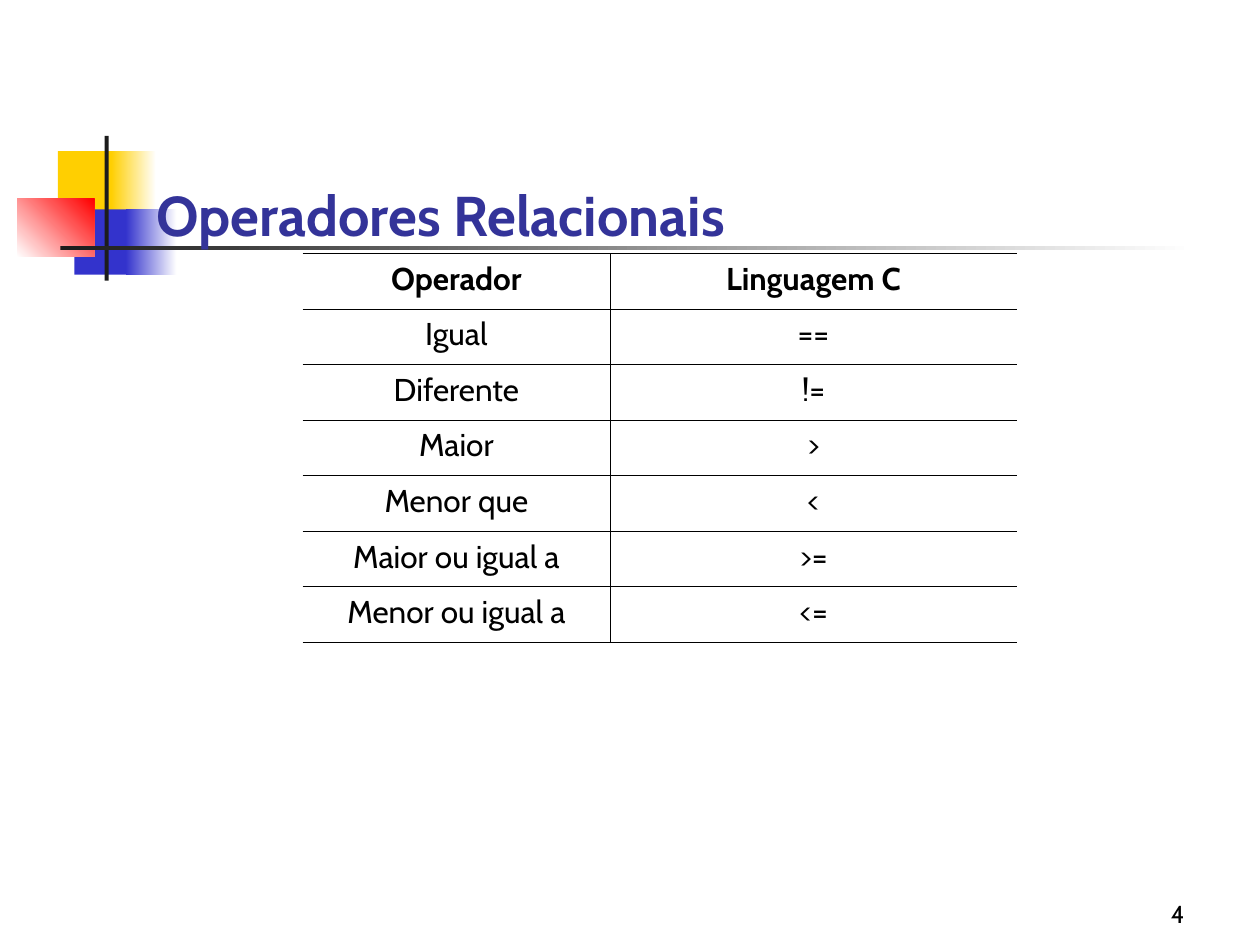
from lxml import etree
from pptx import Presentation
from pptx.dml.color import RGBColor
from pptx.enum.shapes import MSO_SHAPE
from pptx.enum.text import MSO_ANCHOR, PP_ALIGN
from pptx.oxml.ns import qn
from pptx.util import Cm, Pt

RECTANGLE = MSO_SHAPE.RECTANGLE
BOTTOM = MSO_ANCHOR.BOTTOM
LEFT, CENTER, RIGHT = PP_ALIGN.LEFT, PP_ALIGN.CENTER, PP_ALIGN.RIGHT

FONT = "Cabin"
BLACK = RGBColor(0x00, 0x00, 0x00)
WHITE = RGBColor(0xFF, 0xFF, 0xFF)
YELLOW = RGBColor(0xFF, 0xCF, 0x01)
BLUE = RGBColor(0x33, 0x33, 0xCC)
RED = RGBColor(0xFF, 0x00, 0x00)
CHARCOAL = RGBColor(0x1C, 0x1C, 0x1C)
INDIGO = RGBColor(0x33, 0x33, 0x99)

TITLE = "Operadores Relacionais"
PAGE_NUMBER = "4"
OPERATORS = [
    ("Operador", "Linguagem C"),
    ("Igual", "=="),
    ("Diferente", "!="),
    ("Maior", ">"),
    ("Menor que", "<"),
    ("Maior ou igual a", ">="),
    ("Menor ou igual a", "<="),
]

# left, top, width, height in cm; colours from start to end; gradient angle
ORNAMENTS = [
    ((1.17, 3.05, 1.22, 1.32), (YELLOW,), 0),
    ((2.24, 3.05, 0.91, 1.32), (YELLOW, WHITE), 0),
    ((1.5, 4.22, 1.17, 1.32), (BLUE,), 0),
    ((2.54, 4.22, 1.02, 1.32), (BLUE, WHITE), 0),
    ((0.35, 4.01, 1.55, 1.17), (WHITE, RED), 45),
    ((2.11, 2.74, 0.08, 2.92), (CHARCOAL,), 0),
    ((1.22, 4.95, 22.86, 0.09), (CHARCOAL, WHITE), 0),
]

TABLE_LEFT, TABLE_TOP = 6.1, 5.11
COLUMN_WIDTHS = (6.2, 8.2)
ROW_HEIGHT = 1.12
BORDER_WIDTH = Pt(0.45)


def add_ornament(slide, box, colors, angle):
    ornament = slide.shapes.add_shape(RECTANGLE, *map(Cm, box))
    ornament.shadow.inherit = False
    ornament.line.fill.background()
    if len(colors) == 1:
        ornament.fill.solid()
        ornament.fill.fore_color.rgb = colors[0]
        return
    ornament.fill.gradient()
    ornament.fill.gradient_angle = angle
    for stop, color in zip(ornament.fill.gradient_stops, colors):
        stop.color.rgb = color


def style(paragraph, size, color, bold, alignment):
    paragraph.alignment = alignment
    font = paragraph.font
    font.name, font.size, font.bold = FONT, Pt(size), bold
    font.color.rgb = color


def add_label(slide, box, text, size, color, bold, alignment):
    frame = slide.shapes.add_textbox(*map(Cm, box)).text_frame
    frame.word_wrap = True
    frame.vertical_anchor = BOTTOM
    frame.text = text
    style(frame.paragraphs[0], size, color, bold, alignment)


def set_borders(cell, visible):
    """Draw the sides named in visible (L, R, T, B) and clear the others."""
    properties = cell._tc.get_or_add_tcPr()
    for index, side in enumerate("LRTB"):
        border = etree.Element(qn(f"a:ln{side}"), w=str(BORDER_WIDTH))
        if side in visible:
            fill = etree.SubElement(border, qn("a:solidFill"))
            etree.SubElement(fill, qn("a:srgbClr"), val=str(BLACK))
        else:
            etree.SubElement(border, qn("a:noFill"))
        properties.insert(index, border)


def add_operator_table(slide):
    table = slide.shapes.add_table(
        len(OPERATORS), len(COLUMN_WIDTHS), Cm(TABLE_LEFT), Cm(TABLE_TOP),
        Cm(sum(COLUMN_WIDTHS)), Cm(ROW_HEIGHT * len(OPERATORS))).table
    table.first_row = table.horz_banding = False
    for column, width in zip(table.columns, COLUMN_WIDTHS):
        column.width = Cm(width)
    for row_index, texts in enumerate(OPERATORS):
        table.rows[row_index].height = Cm(ROW_HEIGHT)
        for column_index, text in enumerate(texts):
            cell = table.cell(row_index, column_index)
            cell.text = text
            cell.fill.background()
            style(cell.text_frame.paragraphs[0], 18, BLACK, row_index == 0, CENTER)
            set_borders(cell, "RTB" if column_index == 0 else "LTB")


def main():
    presentation = Presentation()
    presentation.slide_width, presentation.slide_height = Cm(25.4), Cm(19.05)
    slide = presentation.slides.add_slide(presentation.slide_layouts[6])
    for box, colors, angle in ORNAMENTS:
        add_ornament(slide, box, colors, angle)
    add_label(slide, (2.9, 1.93, 21.64, 3.18), TITLE, 32, INDIGO, True, LEFT)
    add_label(slide, (18.85, 17.58, 5.28, 1.27), PAGE_NUMBER, 14, BLACK, False, RIGHT)
    add_operator_table(slide)
    presentation.save("out.pptx")


if __name__ == "__main__":
    main()
